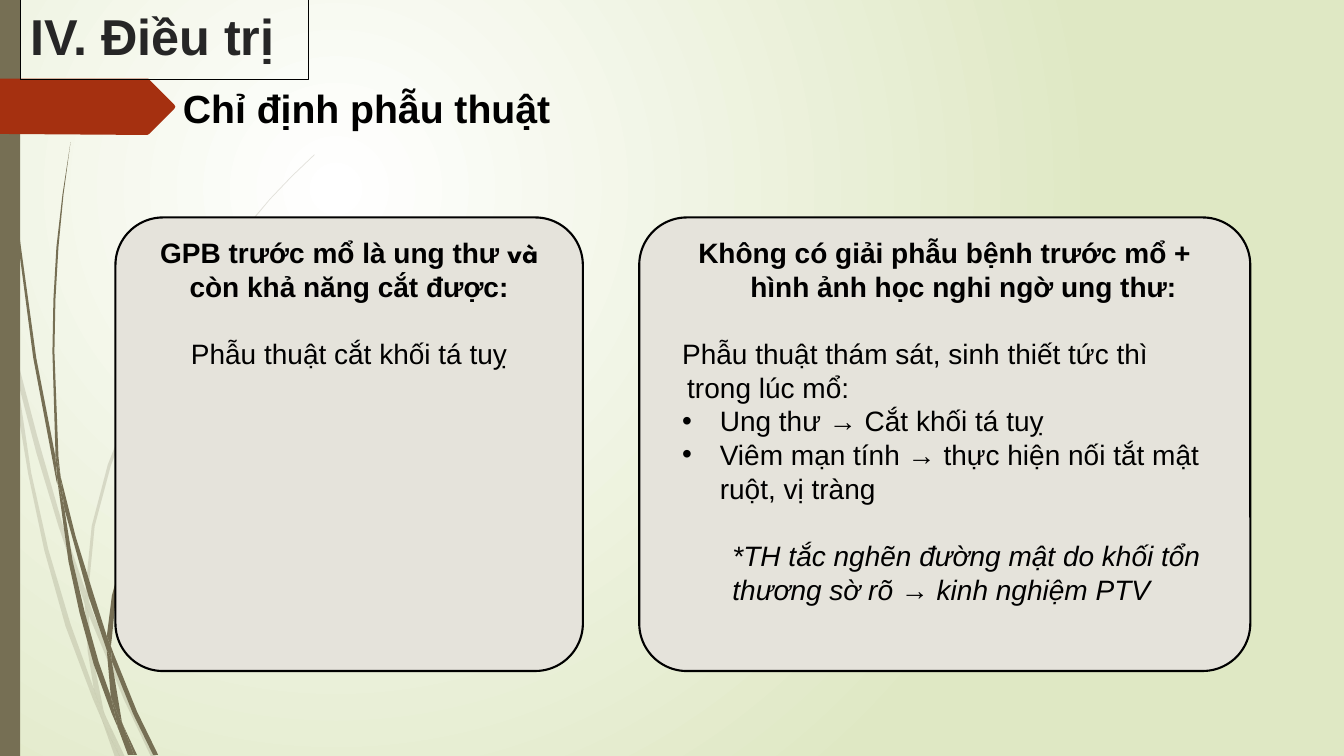
import dataclasses

import pptx
import pptx.dml.color
import pptx.enum.shapes
import pptx.enum.text
import pptx.oxml.ns
import pptx.util
from lxml import etree

Cm = pptx.util.Cm
Pt = pptx.util.Pt
qn = pptx.oxml.ns.qn
SHAPES = pptx.enum.shapes.MSO_SHAPE
ALIGN = pptx.enum.text.PP_ALIGN
ANCHOR = pptx.enum.text.MSO_ANCHOR


@dataclasses.dataclass(frozen=True)
class Theme:
    glow: str = "FFFFFF"
    meadow: str = "DFE8C4"
    stem: str = "766F54"
    tag: str = "A53010"
    card: str = "E5E3DB"
    ink: str = "000000"
    title_ink: str = "262626"
    font: str = "Arial"
    accent_font: str = "League Spartan"
    title: int = 36
    subtitle: int = 28
    body: int = 20
    gap: int = 24


@dataclasses.dataclass(frozen=True)
class Box:
    """A region in centimetres."""
    left: float
    top: float
    width: float
    height: float

    def emu(self):
        return [Cm(value) for value in dataclasses.astuple(self)]


THEME = Theme()
GRID = Cm(0.0254)  # unit of the stem and tag outlines

# Stem pieces, each a closed outline of (x, y) points
FAINT_STEMS = [
    [(0, 282), (9, 322), (11, 350), (10, 344), (0, 299)],
    [(14, 345), (37, 433), (62, 520), (85, 586), (84, 599), (58, 522), (36, 449), (17, 376)],
    [(88, 596), (92, 607), (127, 692), (155, 751), (150, 751), (123, 694), (88, 610)],
    [(105, 711), (124, 751), (119, 751)],
    [(11, 350), (17, 376), (31, 469), (48, 545), (70, 619), (93, 683), (99, 707), (101, 714),
     (92, 693), (65, 621), (44, 546), (28, 470), (18, 410)],
    [(84, 599), (88, 608), (88, 610), (91, 646), (103, 706), (105, 711), (96, 692), (93, 683),
     (87, 646)],
    [(312, 153), (289, 175), (268, 197), (228, 244), (191, 295), (158, 348), (130, 403),
     (107, 461), (91, 522), (85, 584), (85, 586), (88, 596), (88, 584), (94, 522), (110, 462),
     (132, 405), (160, 349), (193, 296), (229, 245), (268, 198), (290, 175), (312, 154)],
    [(101, 714), (119, 751), (114, 751)],
    [(88, 608), (88, 596), (85, 586), (84, 599)],
    [(93, 683), (96, 692), (105, 711), (119, 751), (101, 714), (99, 707)],
]
SOLID_STEMS = [
    [(3, 0), (4, 0), (5, 48), (8, 109), (19, 232), (36, 355), (55, 453), (57, 481), (56, 477),
     (33, 355), (17, 233), (7, 110), (4, 48)],
    [(60, 472), (75, 532), (93, 590), (106, 631), (106, 645), (88, 592), (64, 505)],
    [(110, 641), (113, 649), (136, 706), (157, 749), (152, 749), (132, 708), (111, 656)],
    [(57, 477), (64, 505), (72, 556), (84, 607), (98, 657), (110, 691), (116, 717), (117, 722),
     (111, 708), (93, 659), (79, 608), (68, 557)],
    [(70, 141), (62, 193), (56, 245), (53, 297), (52, 349), (55, 449), (60, 472), (58, 453),
     (54, 349), (55, 297), (58, 245), (63, 193)],
    [(122, 719), (136, 749), (133, 749)],
    [(55, 449), (60, 472), (64, 505), (57, 477), (55, 453)],
    [(260, 344), (261, 344), (245, 359), (231, 374), (205, 406), (180, 440), (158, 476),
     (140, 514), (125, 552), (115, 592), (111, 633), (110, 641), (106, 631), (111, 591),
     (122, 551), (138, 512), (156, 474), (179, 438), (204, 405), (231, 373), (245, 358)],
    [(117, 722), (131, 749), (127, 749)],
    [(106, 645), (109, 651), (111, 656), (121, 716), (122, 719), (116, 706), (110, 691)],
    [(106, 631), (110, 641), (111, 656), (109, 651), (106, 645)],
    [(110, 691), (116, 706), (122, 719), (133, 749), (130, 749), (117, 722), (116, 717)],
]
TAG_OUTLINE = [(0, 0), (147, 0), (173, 26), (174, 28), (173, 30), (148, 55), (146, 56), (0, 55)]


def color(code):
    return pptx.dml.color.RGBColor.from_string(code)


def paint(shape, fill=None, line=None, width=1.5, opacity=None):
    shape.shadow.inherit = False
    if fill:
        shape.fill.solid()
        shape.fill.fore_color.rgb = color(fill)
    else:
        shape.fill.background()
    if line:
        shape.line.color.rgb = color(line)
        shape.line.width = Pt(width)
    else:
        shape.line.fill.background()
    if opacity:
        rgb = shape.fill._xPr.find(".//" + qn("a:srgbClr"))
        etree.SubElement(rgb, qn("a:alpha"), val=str(opacity * 1000))


def write(frame, text, first=False, size=THEME.body, ink=THEME.ink, bold=False, italic=False,
          align=ALIGN.LEFT, before=0, margin=0, indent=0, bullet=None):
    """Add a paragraph; text is a string or a list of (text, font) runs."""
    paragraph = frame.paragraphs[0] if first else frame.add_paragraph()
    properties = paragraph._p.get_or_add_pPr()
    properties.set("marL", str(Cm(margin)))
    properties.set("indent", str(Cm(indent)))
    if bullet:
        etree.SubElement(properties, qn("a:buFont"), typeface=THEME.font)
        etree.SubElement(properties, qn("a:buChar"), char=bullet)
    paragraph.alignment = align
    paragraph.space_before = Pt(before)
    for words, font_name in [(text, THEME.font)] if isinstance(text, str) else text:
        run = paragraph.add_run()
        run.text = words
        run.font.name = font_name
        run.font.size = Pt(size)
        run.font.bold = bold
        run.font.italic = italic
        run.font.color.rgb = color(ink)


def text_box(slide, box):
    frame = slide.shapes.add_textbox(*box.emu()).text_frame
    frame.word_wrap = True
    return frame


def outline(slide, box, points):
    points = [(x * GRID, y * GRID) for x, y in points]
    builder = slide.shapes.build_freeform(*points[0], scale=1.0)
    builder.add_line_segments(points[1:], close=True)
    return builder.convert_to_shape(Cm(box.left), Cm(box.top))


def background(slide):
    fill = slide.background.fill
    fill.gradient()
    for stop, code in zip(fill.gradient_stops, (THEME.glow, THEME.meadow)):
        stop.color.rgb = color(code)
    gradient = slide.background._cSld.find(".//" + qn("a:gradFill"))
    gradient.remove(gradient.find(qn("a:lin")))
    circle = etree.SubElement(gradient, qn("a:path"), path="circle")
    etree.SubElement(circle, qn("a:fillToRect"), l="50000", t="50000", r="100000", b="100000")


def side_decor(slide, box):
    # Stems
    for stems, opacity in ((FAINT_STEMS, 20), (SOLID_STEMS, None)):
        for stem in stems:
            paint(outline(slide, box, stem), THEME.stem, opacity=opacity)
    # Bar on the left edge
    paint(slide.shapes.add_shape(SHAPES.RECTANGLE, *box.emu()), THEME.stem)
    # Arrow-shaped tag
    tag_box = dataclasses.replace(box, top=box.top + 1.98)
    paint(outline(slide, tag_box, TAG_OUTLINE), THEME.tag)


def card(slide, box, inset, text_height, paragraphs):
    panel = slide.shapes.add_shape(SHAPES.ROUNDED_RECTANGLE, *box.emu())
    panel.adjustments[0] = 0.105
    paint(panel, THEME.card, THEME.ink)
    frame = text_box(slide, Box(box.left + inset, box.top + 0.34,
                                box.width - 2 * inset, text_height))
    for number, (text, style) in enumerate(paragraphs):
        write(frame, text, first=number == 0, **style)


def headings(slide, box):
    # Subtitle beside the tag
    frame = text_box(slide, Box(box.left + 3.85, box.top + 2, 10.87, 1.45))
    write(frame, "Chỉ định phẫu thuật", first=True, size=THEME.subtitle, bold=True)
    # Framed title
    title = slide.shapes.add_shape(SHAPES.RECTANGLE, *box.emu())
    paint(title, line=THEME.ink, width=0.75)
    title.text_frame.vertical_anchor = ANCHOR.TOP
    write(title.text_frame, "IV. Điều trị", first=True, size=THEME.title,
          ink=THEME.title_ink, bold=True)


def main():
    presentation = pptx.Presentation()
    presentation.slide_width, presentation.slide_height = Cm(33.87), Cm(19.05)
    slide = presentation.slides.add_slide(presentation.slide_layouts[6])
    background(slide)
    side_decor(slide, Box(0, 0, 0.51, 19.05))

    # Indication cards
    heading = dict(bold=True, align=ALIGN.CENTER)
    hanging = dict(margin=0.95, indent=-0.95)
    bullet = dict(bullet="•", **hanging)
    card(slide, Box(2.91, 5.48, 11.78, 11.43), 0.16, 4.52, [
        ([("GPB trước mổ là ung thư", THEME.font), (" và ", THEME.accent_font),
          ("còn khả năng cắt được:", THEME.font)], heading),
        ("Phẫu thuật cắt khối tá tuỵ", dict(align=ALIGN.CENTER, before=THEME.gap)),
    ])
    card(slide, Box(16.11, 5.48, 15.4, 11.43), 0.83, 9.65, [
        ("Không có giải phẫu bệnh trước mổ + hình ảnh học nghi ngờ ung thư:",
         heading | hanging),
        ("Phẫu thuật thám sát, sinh thiết tức thì trong lúc mổ:",
         dict(margin=0.13, indent=-0.13, before=THEME.gap)),
        ("Ung thư → Cắt khối tá tuỵ", bullet),
        ("Viêm mạn tính → thực hiện nối tắt mật ruột, vị tràng", bullet),
        ("*TH tắc nghẽn đường mật do khối tổn thương sờ rõ → kinh nghiệm PTV",
         dict(margin=1.27, italic=True, before=THEME.gap)),
    ])
    headings(slide, Box(0.51, 0, 7.26, 2.01))
    presentation.save("out.pptx")


if __name__ == "__main__":
    main()
